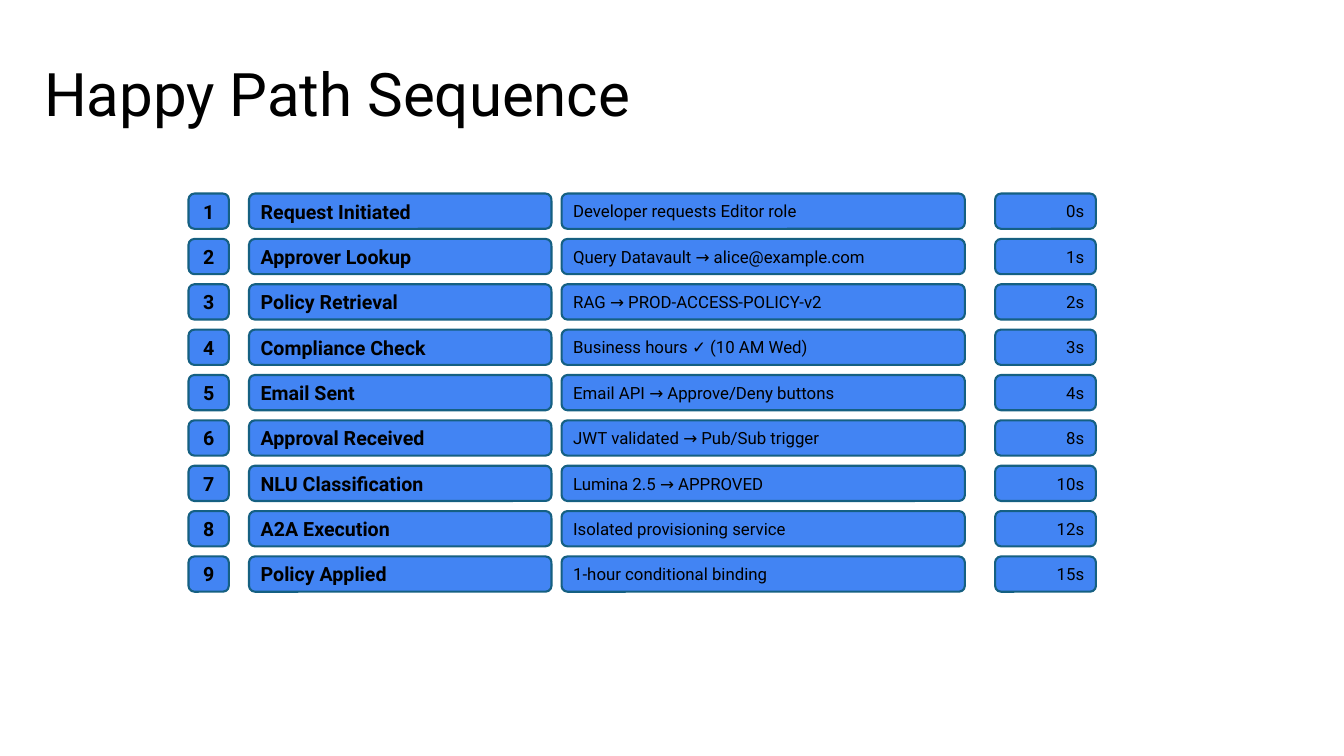
import pptx
import pptx.dml.color
import pptx.enum.shapes
import pptx.enum.text
import pptx.util

Inches = pptx.util.Inches
Pt = pptx.util.Pt
ALIGN = pptx.enum.text.PP_ALIGN
ANCHOR = pptx.enum.text.MSO_ANCHOR

TITLE = "Happy Path Sequence"
STEPS = [
    ("Request Initiated", "Developer requests Editor role", "0s"),
    ("Approver Lookup", "Query Datavault → alice@example.com", "1s"),
    ("Policy Retrieval", "RAG → PROD-ACCESS-POLICY-v2", "2s"),
    ("Compliance Check", "Business hours ✓ (10 AM Wed)", "3s"),
    ("Email Sent", "Email API → Approve/Deny buttons", "4s"),
    ("Approval Received", "JWT validated → Pub/Sub trigger", "8s"),
    ("NLU Classification", "Lumina 2.5 → APPROVED", "10s"),
    ("A2A Execution", "Isolated provisioning service", "12s"),
    ("Policy Applied", "1-hour conditional binding", "15s"),
]
HEADING = {"size": Pt(14), "bold": True}
DETAIL = {"size": Pt(12), "bold": False}
COLUMNS = [
    (1.87, 0.4, ALIGN.CENTER, HEADING),
    (2.47, 3, ALIGN.LEFT, HEADING),
    (5.57, 4, ALIGN.LEFT, DETAIL),
    (9.87, 1, ALIGN.RIGHT, DETAIL),
]
TOP, PITCH, HEIGHT = 1.92, 0.45, 0.35
COLORS = {"fill": "4284F3", "line": "156082", "text": "000000"}


def color(name):
    return pptx.dml.color.RGBColor.from_string(COLORS[name])


def write(sp, text, align, anchor, style):
    tf = sp.text_frame
    tf.word_wrap = True
    tf.vertical_anchor = anchor
    p = tf.paragraphs[0]
    p.alignment = align
    r = p.add_run()
    r.text = text
    for key, value in {"name": "Roboto", **style}.items():
        setattr(r.font, key, value)
    r.font.color.rgb = color("text")
    return tf


def add_title(s):
    sp = s.shapes.add_textbox(Inches(0.34), Inches(0.6), Inches(11.5), Inches(0.74))
    tf = write(sp, TITLE, ALIGN.LEFT, ANCHOR.TOP, {"size": Pt(42.9)})
    tf.margin_top = Inches(0.1)
    tf.paragraphs[0].line_spacing = 0.8


def add_cell(s, text, top, column):
    left, width, align, style = column
    sp = s.shapes.add_shape(
        pptx.enum.shapes.MSO_SHAPE.ROUNDED_RECTANGLE,
        Inches(left), Inches(top), Inches(width), Inches(HEIGHT))
    sp.shadow.inherit = False
    sp.fill.solid()
    sp.fill.fore_color.rgb = color("fill")
    sp.line.color.rgb = color("line")
    sp.line.width = Pt(1.5)
    write(sp, text, align, ANCHOR.MIDDLE, style)


def main():
    prs = pptx.Presentation()
    prs.slide_width, prs.slide_height = Inches(13.33), Inches(7.5)
    s = prs.slides.add_slide(prs.slide_layouts[6])
    add_title(s)
    for i, step in enumerate(STEPS):
        for text, column in zip((str(i + 1), *step), COLUMNS):
            add_cell(s, text, TOP + i * PITCH, column)
    prs.save("out.pptx")


if __name__ == "__main__":
    main()
